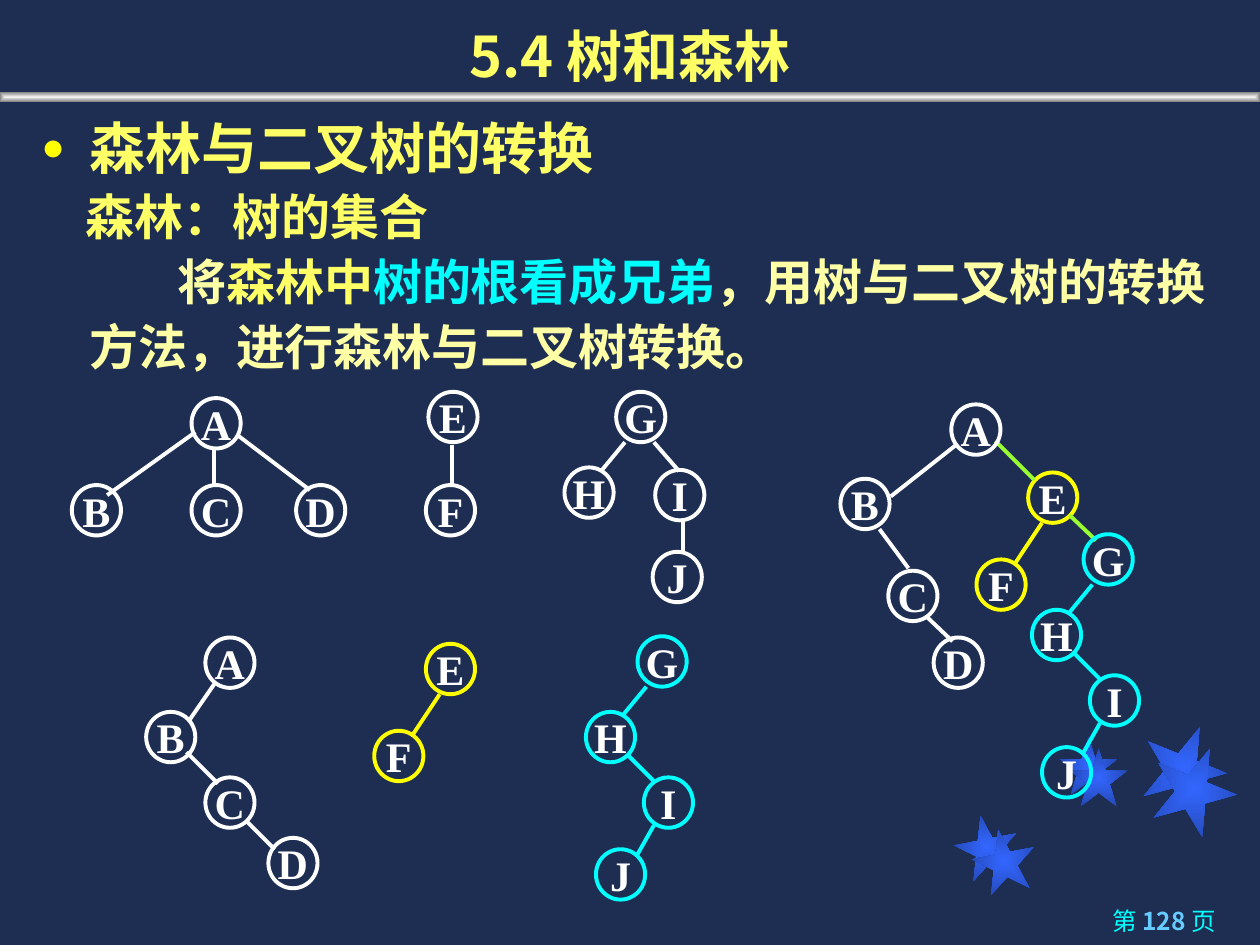
import dataclasses

import pptx
import pptx.dml.color
import pptx.enum.shapes
import pptx.enum.text
import pptx.oxml.ns
import pptx.util
from lxml import etree

Inches = pptx.util.Inches
Pt = pptx.util.Pt
SHAPE = pptx.enum.shapes.MSO_SHAPE
ALIGN = pptx.enum.text.PP_ALIGN
ANCHOR = pptx.enum.text.MSO_ANCHOR
qn = pptx.oxml.ns.qn


@dataclasses.dataclass(frozen=True)
class Theme:
    back: str = "1E2E53"
    white: str = "FFFFFF"
    yellow: str = "FFFF00"
    cyan: str = "00FFFF"
    green: str = "99FF33"
    gold: str = "FFFF66"
    cream: str = "FFFFA5"
    sky: str = "66CCFF"
    star: tuple = ("3366FF", "2449B6")
    bar: tuple = ("F2F2F2", "808080")
    head: int = 32
    body: int = 28
    node: int = 24
    foot: int = 14
    line: float = 2.25
    cjk: str = "Noto Sans CJK SC"
    sans: str = "Arial"
    serif: str = "Times New Roman"


def rgb(code):
    return pptx.dml.color.RGBColor.from_string(code)


class Board:
    wide, high = 0.39, 0.4  # tree node

    def __init__(self, slide, theme):
        self.slide, self.theme = slide, theme
        fill = slide.background.fill
        fill.solid()
        fill.fore_color.rgb = rgb(theme.back)

    def run(self, para, text, size, font, color, bold=True):
        run = para.add_run()
        run.text = text
        run.font.size, run.font.bold, run.font.name = Pt(size), bold, font
        run.font.color.rgb = rgb(color)
        east = etree.SubElement(run._r.get_or_add_rPr(), qn("a:ea"))
        east.set("typeface", self.theme.cjk)

    def box(self, x, y, w, h, anchor=ANCHOR.TOP):
        spot = [Inches(v) for v in (x, y, w, h)]
        frame = self.slide.shapes.add_textbox(*spot).text_frame
        frame.word_wrap = True
        frame.vertical_anchor = anchor
        return frame

    def shape(self, kind, x, y, w, h):
        spot = [Inches(v) for v in (x, y, w, h)]
        shape = self.slide.shapes.add_shape(kind, *spot)
        shape.shadow.inherit = False
        return shape

    def glow(self, kind, x, y, w, h, colors, turn=0):
        """Add a borderless shape shaded from its centre outwards."""
        shape = self.shape(kind, x, y, w, h)
        shape.rotation = turn
        shape.line.fill.background()
        shape.fill.gradient()
        for stop, color in zip(shape.fill.gradient_stops, colors):
            stop.color.rgb = rgb(color)
        grad = shape._element.spPr.find(qn("a:gradFill"))
        grad.remove(grad.find(qn("a:lin")))
        way = etree.SubElement(grad, qn("a:path"), {"path": "shape"})
        etree.SubElement(way, qn("a:fillToRect"), dict.fromkeys("ltrb", "50000"))

    def node(self, name, x, y, color):
        shape = self.shape(SHAPE.OVAL, x, y, self.wide, self.high)
        shape.fill.background()
        shape.line.color.rgb = rgb(color)
        shape.line.width = Pt(self.theme.line)
        frame = shape.text_frame
        frame.word_wrap = False
        frame.vertical_anchor = ANCHOR.MIDDLE
        para = frame.paragraphs[0]
        para.alignment = ALIGN.CENTER
        self.run(para, name, self.theme.node, self.theme.serif, self.theme.white)

    def link(self, x1, y1, x2, y2, color):
        ends = [Inches(v) for v in (x1, y1, x2, y2)]
        line = self.slide.shapes.add_connector(
            pptx.enum.shapes.MSO_CONNECTOR.STRAIGHT, *ends)
        line.line.color.rgb = rgb(color)
        line.line.width = Pt(self.theme.line)
        etree.SubElement(line._element.spPr, qn("a:effectLst"))

    def tree(self, nodes, links, color, x=0, y=0):
        """Draw nodes and links, all shifted by x and y."""
        for name, left, top in nodes:
            self.node(name, x + left, y + top, color)
        for x1, y1, x2, y2 in links:
            self.link(x + x1, y + y1, x + x2, y + y2, color)


def write(board):
    t = board.theme
    foot = board.box(7.12, 7.14, 2.63, 0.36).paragraphs[0]
    foot.alignment = ALIGN.RIGHT
    board.run(foot, "第 ", t.foot, t.cjk, t.cyan, False)
    board.run(foot, "128 ", t.foot, t.cjk, t.sky)
    board.run(foot, "页", t.foot, t.cjk, t.cyan, False)

    title = board.box(0, 0, 10, 0.75, ANCHOR.BOTTOM).paragraphs[0]
    title.alignment = ALIGN.CENTER
    board.run(title, "5.4 树和森林", t.head, t.cjk, t.gold)

    # left margin, first-line indent, space before, size, runs
    lines = [
        (0.38, -0.38, 3, t.head, [("森林与二叉树的转换", t.gold)]),
        (0.35, 0, 0, t.body, [("森林：树的集合", t.gold)]),
        (0.38, 0.7, 0, t.body, [
            ("将", t.cream), ("森林中", t.gold), ("树的根看成兄弟", t.cyan),
            ("，用树与二叉树的转换方法，进行森林与二叉树转换。", t.cream)]),
    ]
    frame = board.box(0.23, 0.8, 9.55, 2.22)
    for i, (left, first, gap, size, runs) in enumerate(lines):
        para = frame.add_paragraph() if i else frame.paragraphs[0]
        para.line_spacing = 1.1
        para.space_before = Pt(gap)
        props = para._p.get_or_add_pPr()
        props.set("marL", str(Inches(left)))
        props.set("indent", str(Inches(first)))
        for text, color in runs:
            board.run(para, text, size, t.sans, color)
    props = frame.paragraphs[0]._p.get_or_add_pPr()
    tint = etree.SubElement(props, qn("a:buClr"))
    etree.SubElement(tint, qn("a:srgbClr"), val=t.yellow)
    etree.SubElement(props, qn("a:buSzPct"), val="70000")
    etree.SubElement(props, qn("a:buFont"), typeface=t.sans)
    etree.SubElement(props, qn("a:buChar"), char="●")


def plant(board):
    t = board.theme
    board.tree(
        [("A", 1.52, 3.16), ("B", 0.57, 3.85), ("C", 1.52, 3.85), ("D", 2.35, 3.85)],
        [(1.7, 3.56, 1.7, 3.85), (1.55, 3.43, 0.85, 3.93), (1.88, 3.45, 2.46, 3.89)],
        t.white)
    board.tree([("E", 3.4, 3.11), ("F", 3.38, 3.85)],
               [(3.59, 3.53, 3.59, 3.85)], t.white)
    board.tree(
        [("G", 4.89, 3.11), ("H", 4.48, 3.71), ("I", 5.2, 3.73), ("J", 5.18, 4.38)],
        [(4.96, 3.51, 4.77, 3.74), (5.19, 3.51, 5.39, 3.74), (5.42, 4.14, 5.42, 4.39)],
        t.white)
    board.tree(
        [("A", 1.63, 5.06), ("B", 1.16, 5.65), ("C", 1.63, 6.17), ("D", 2.13, 6.65)],
        [(1.7, 5.43, 1.5, 5.72), (1.48, 5.97, 1.73, 6.22), (1.95, 6.51, 2.18, 6.74)],
        t.white)

    # binary trees that show up alone and again in the merged tree
    pair = [("E", 0, 0), ("F", -0.41, 0.69)], [(0.11, 0.4, -0.11, 0.73)]
    chain = (
        [("G", 0, 0), ("H", -0.41, 0.6), ("I", 0.05, 1.12), ("J", -0.33, 1.69)],
        [(0.07, 0.4, -0.12, 0.63), (-0.08, 0.94, 0.13, 1.15), (0.13, 1.5, 0, 1.73)])
    board.tree(*pair, t.yellow, 3.38, 5.11)
    board.tree(*chain, t.cyan, 5.06, 5.05)
    board.tree(*pair, t.yellow, 8.16, 3.75)
    board.link(7.9, 3.5, 8.21, 3.81, t.green)
    board.link(8.49, 4.09, 8.7, 4.29, t.green)
    board.tree(
        [("A", 7.55, 3.21), ("B", 6.67, 3.8), ("C", 7.05, 4.53), ("D", 7.41, 5.06)],
        [(6.98, 4.2, 7.21, 4.51), (7.36, 4.9, 7.56, 5.09), (7.59, 3.53, 7.07, 3.94)],
        t.white)
    board.tree(*chain, t.cyan, 8.6, 4.24)


def main():
    deck = pptx.Presentation()
    deck.slide_width, deck.slide_height = Inches(10), Inches(7.5)
    theme = Theme()
    board = Board(deck.slides.add_slide(deck.slide_layouts[6]), theme)
    stars = [(7.58, 6.47, 0.5, 349), (8.41, 5.85, 0.46, 0), (9.06, 5.75, 0.67, 22),
             (7.72, 6.58, 0.5, 349), (8.49, 5.94, 0.46, 0), (9.14, 5.92, 0.67, 22)]
    for x, y, size, turn in stars:
        board.glow(SHAPE.STAR_5_POINT, x, y, size, size, theme.star, turn)
    board.glow(SHAPE.RECTANGLE, 0, 0.73, 10, 0.08, theme.bar)
    write(board)
    plant(board)
    deck.save("out.pptx")


if __name__ == "__main__":
    main()
